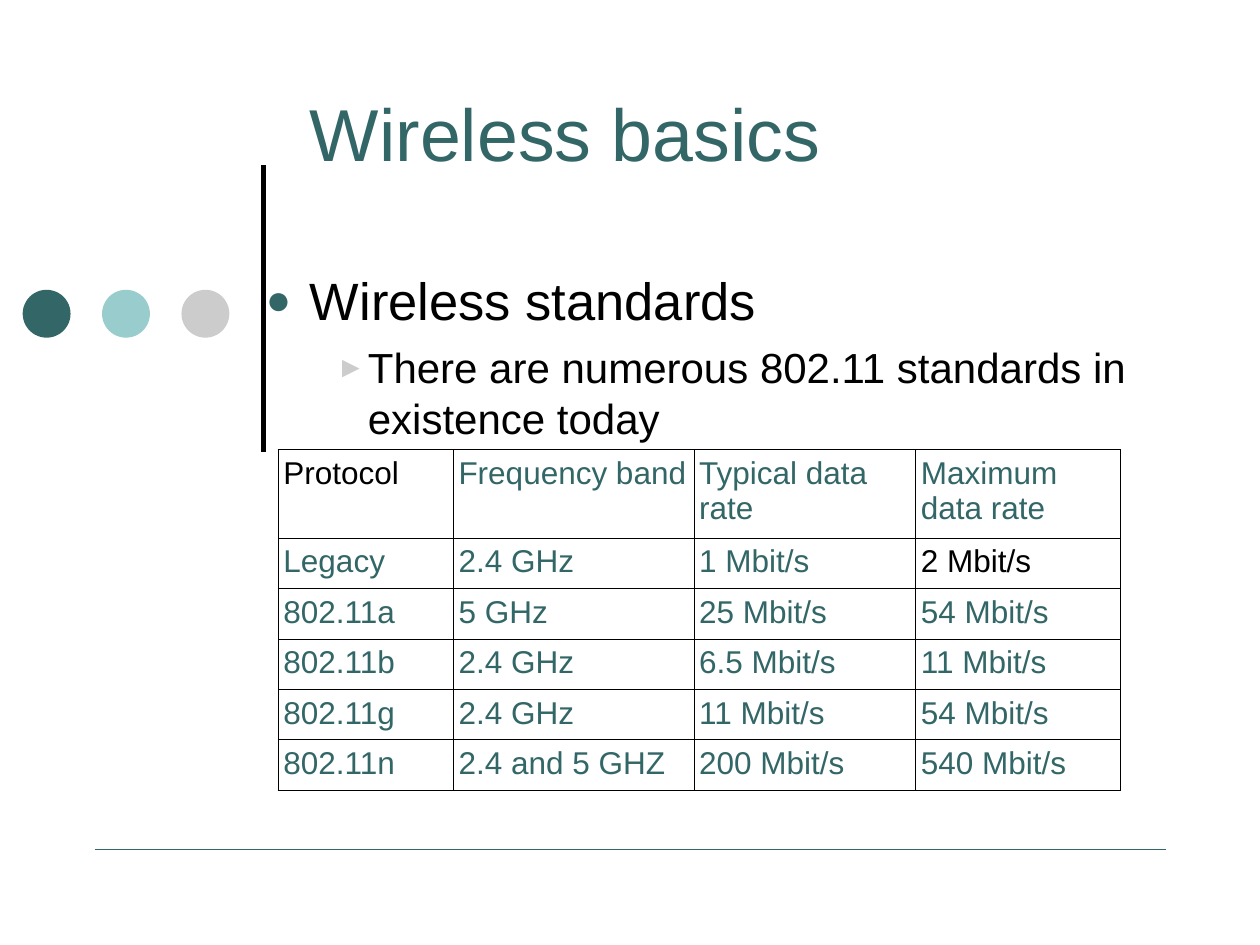
from dataclasses import dataclass

from lxml import etree
from pptx import Presentation
from pptx.dml.color import RGBColor
from pptx.enum import shapes, text
from pptx.oxml import ns
from pptx.util import Inches, Pt


@dataclass(frozen=True)
class Theme:
    font: str = "Arial"
    teal: str = "336666"
    aqua: str = "99CCCC"
    grey: str = "CCCCCC"
    black: str = "000000"
    title_size: float = 42
    topic_size: float = 30
    detail_size: float = 24
    table_size: float = 18
    border_width: float = 0.57


@dataclass(frozen=True)
class Rule:
    start: tuple[float, float]
    end: tuple[float, float]
    color: str
    width: float


@dataclass(frozen=True)
class Line:
    content: str
    size: float
    color: str
    margin: float
    indent: float = 0
    level: int = 0
    space_before: float = 0
    bullet: str = ""
    bullet_color: str = ""
    bullet_percent: int = 100


THEME = Theme()
RULES = [
    Rule((2.09, 1.31), (2.09, 3.59), THEME.black, 3),
    Rule((0.75, 6.74), (9.25, 6.74), THEME.teal, 0.75),
]
DOT_COLORS = [THEME.teal, THEME.aqua, THEME.grey]
DOT_LEFT, DOT_TOP, DOT_SIZE, DOT_STEP = 0.18, 2.3, 0.38, 0.63

TITLE = [Line("Wireless basics", THEME.title_size, THEME.teal, 0.79)]
BODY = [
    Line("Wireless standards", THEME.topic_size, THEME.black, 0.79, -0.35,
         bullet="●", bullet_color=THEME.teal, bullet_percent=80),
    Line("There are numerous 802.11 standards in existence today",
         THEME.detail_size, THEME.black, 1.25, -0.25, level=1, space_before=6,
         bullet="►", bullet_color=THEME.grey, bullet_percent=70),
]

STANDARDS = [
    ("Protocol", "Frequency band", "Typical data rate", "Maximum data rate"),
    ("Legacy", "2.4 GHz", "1 Mbit/s", "2 Mbit/s"),
    ("802.11a", "5 GHz", "25 Mbit/s", "54 Mbit/s"),
    ("802.11b", "2.4 GHz", "6.5 Mbit/s", "11 Mbit/s"),
    ("802.11g", "2.4 GHz", "11 Mbit/s", "54 Mbit/s"),
    ("802.11n", "2.4 and 5 GHZ", "200 Mbit/s", "540 Mbit/s"),
]
BLACK_CELLS = {(0, 0), (1, 3)}
COLUMN_WIDTHS = [1.39, 1.91, 1.76, 1.62]
HEADER_HEIGHT, ROW_HEIGHT = 0.7, 0.4


def add_child(parent, tag: str, **attributes: str):
    return etree.SubElement(parent, ns.qn(tag), **attributes)


def style_font(font, size: float, color: str) -> None:
    font.name = THEME.font
    font.size = Pt(size)
    font.color.rgb = RGBColor.from_string(color)


def draw_rule(slide, rule: Rule) -> None:
    connector = slide.shapes.add_connector(
        shapes.MSO_CONNECTOR.STRAIGHT,
        *(Inches(value) for value in rule.start + rule.end))
    connector.line.color.rgb = RGBColor.from_string(rule.color)
    connector.line.width = Pt(rule.width)
    add_child(connector._element.spPr, "a:effectLst")


def draw_dot(slide, left: float, color: str) -> None:
    dot = slide.shapes.add_shape(
        shapes.MSO_SHAPE.OVAL, Inches(left), Inches(DOT_TOP),
        Inches(DOT_SIZE), Inches(DOT_SIZE))
    dot.shadow.inherit = False
    dot.fill.solid()
    dot.fill.fore_color.rgb = RGBColor.from_string(color)
    dot.line.fill.background()


def format_indent(paragraph, line: Line) -> None:
    """Set the hanging indent and the bullet."""
    properties = paragraph._p.get_or_add_pPr()
    properties.set("marL", str(Inches(line.margin)))
    properties.set("indent", str(Inches(line.indent)))
    if line.bullet:
        bullet_color = add_child(properties, "a:buClr")
        add_child(bullet_color, "a:srgbClr", val=line.bullet_color)
        add_child(properties, "a:buSzPct", val=str(line.bullet_percent * 1000))
        add_child(properties, "a:buFont", typeface=THEME.font)
        add_child(properties, "a:buChar", char=line.bullet)


def draw_text(slide, top: float, height: float, lines: list[Line], anchor) -> None:
    frame = slide.shapes.add_textbox(
        Inches(1.67), Inches(top), Inches(7.67), Inches(height)).text_frame
    frame.word_wrap = True
    frame.vertical_anchor = anchor
    frame.margin_left = frame.margin_right = Inches(0)
    frame.margin_top = frame.margin_bottom = Inches(0)
    frame.text = "\n".join(line.content for line in lines)
    for paragraph, line in zip(frame.paragraphs, lines):
        paragraph.level = line.level
        format_indent(paragraph, line)
        if line.space_before:
            paragraph.space_before = Pt(line.space_before)
        style_font(paragraph.runs[0].font, line.size, line.color)


def draw_borders(cell) -> None:
    properties = cell._tc.get_or_add_tcPr()
    for position, side in enumerate(("a:lnL", "a:lnR", "a:lnT", "a:lnB")):
        border = etree.Element(ns.qn(side), w=str(Pt(THEME.border_width)))
        fill = add_child(border, "a:solidFill")
        add_child(fill, "a:srgbClr", val=THEME.black)
        properties.insert(position, border)


def draw_standards(slide) -> None:
    height = HEADER_HEIGHT + ROW_HEIGHT * (len(STANDARDS) - 1)
    table = slide.shapes.add_table(
        len(STANDARDS), len(COLUMN_WIDTHS), Inches(2.21), Inches(3.57),
        Inches(sum(COLUMN_WIDTHS)), Inches(height)).table
    table.first_row = table.horz_banding = False
    for column, width in zip(table.columns, COLUMN_WIDTHS):
        column.width = Inches(width)
    for row_index, values in enumerate(STANDARDS):
        table.rows[row_index].height = Inches(ROW_HEIGHT if row_index else HEADER_HEIGHT)
        for column_index, value in enumerate(values):
            cell = table.cell(row_index, column_index)
            cell.fill.background()
            cell.margin_left = cell.margin_right = Inches(0.04)
            cell.margin_top = cell.margin_bottom = Inches(0.05)
            cell.text_frame.text = value
            is_black = (row_index, column_index) in BLACK_CELLS
            style_font(cell.text_frame.paragraphs[0].runs[0].font,
                       THEME.table_size, THEME.black if is_black else THEME.teal)
            draw_borders(cell)


def main() -> None:
    deck = Presentation()
    deck.slide_width, deck.slide_height = Inches(10), Inches(7.5)
    slide = deck.slides.add_slide(deck.slide_layouts[6])
    for rule in RULES:
        draw_rule(slide, rule)
    for index, color in enumerate(DOT_COLORS):
        draw_dot(slide, DOT_LEFT + index * DOT_STEP, color)
    draw_text(slide, 0.26, 1.57, TITLE, text.MSO_ANCHOR.MIDDLE)
    draw_text(slide, 2.13, 4.8, BODY, text.MSO_ANCHOR.TOP)
    draw_standards(slide)
    deck.save("out.pptx")


if __name__ == "__main__":
    main()
